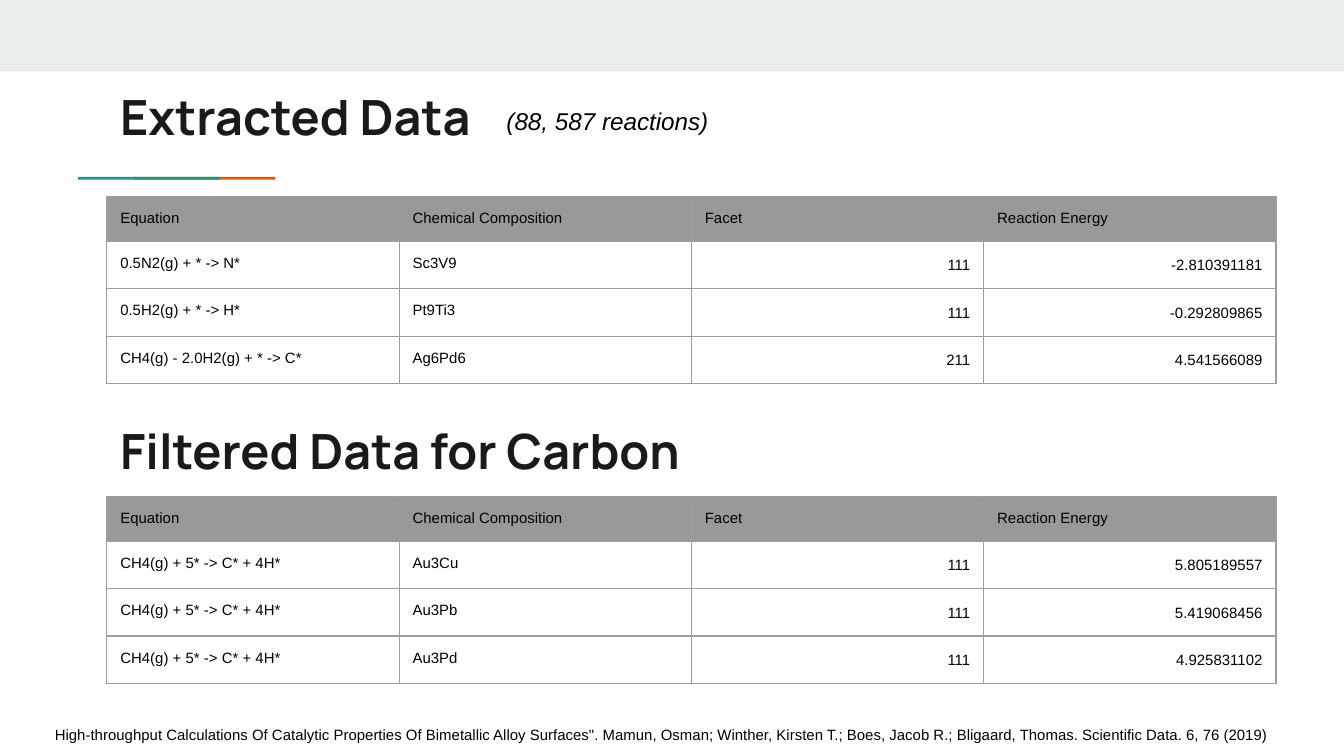
from collections import namedtuple

from lxml.etree import SubElement
from pptx import Presentation
from pptx.dml.color import RGBColor
from pptx.enum.shapes import MSO_SHAPE as Shape
from pptx.enum.text import MSO_ANCHOR as Anchor, PP_ALIGN as Align
from pptx.oxml.ns import qn
from pptx.util import Inches, Pt

WIDTH, HEIGHT = Inches(10), Inches(5.625)
INSET = Inches(0.1)
BLACK = RGBColor(0x00, 0x00, 0x00)
INK = RGBColor(0x1A, 0x1A, 0x1A)
BAND = RGBColor(0xE9, 0xED, 0xEE)
TEAL = RGBColor(0x1A, 0x99, 0x88)
ORANGE = RGBColor(0xEB, 0x56, 0x00)
HEADER = RGBColor(0x99, 0x99, 0x99)
BORDER = RGBColor(0x9E, 0x9E, 0x9E)

Box = namedtuple("Box", "left top width height")

HEADINGS = ("Equation", "Chemical Composition", "Facet", "Reaction Energy")
EXTRACTED = (
    ("0.5N2(g) + * -> N*", "Sc3V9", "111", "-2.810391181"),
    ("0.5H2(g) + * -> H*", "Pt9Ti3", "111", "-0.292809865"),
    ("CH4(g) - 2.0H2(g) + * -> C*", "Ag6Pd6", "211", "4.541566089"),
)
FILTERED = (
    ("CH4(g) + 5* -> C* + 4H*", "Au3Cu", "111", "5.805189557"),
    ("CH4(g) + 5* -> C* + 4H*", "Au3Pb", "111", "5.419068456"),
    ("CH4(g) + 5* -> C* + 4H*", "Au3Pd", "111", "4.925831102"),
)
CITATION = (
    'High-throughput Calculations Of Catalytic Properties Of Bimetallic Alloy Surfaces". '
    "Mamun, Osman; Winther, Kirsten T.; Boes, Jacob R.; Bligaard, Thomas. "
    "Scientific Data. 6, 76 (2019)"
)


def percent_box(left, top, width, height):
    """Return a box from percentages of the slide's width and height."""
    return Box(
        int(WIDTH * left / 100), int(HEIGHT * top / 100),
        int(WIDTH * width / 100), int(HEIGHT * height / 100),
    )


def format_text(paragraph, size, color=BLACK, name="Arial", bold=False, italic=False):
    """Set the font of every run in a paragraph."""
    for run in paragraph.runs:
        font = run.font
        font.name, font.size, font.bold, font.italic = name, Pt(size), bold, italic
        font.color.rgb = color


def add_bar(slide, box, color):
    """Draw a plain filled rectangle."""
    shape = slide.shapes.add_shape(Shape.RECTANGLE, *box)
    shape.shadow.inherit = False
    shape.fill.solid()
    shape.fill.fore_color.rgb = color
    shape.line.fill.background()


def add_accent(slide, box):
    """Draw the two overlapping bars of the accent line."""
    bar = box.width * 72 // 100
    add_bar(slide, box._replace(left=box.left + box.width - bar, width=bar), ORANGE)
    add_bar(slide, box._replace(width=bar), TEAL)


def add_text(slide, box, text, size, spacing=1.0, **style):
    """Add one wrapped paragraph in a text box."""
    frame = slide.shapes.add_textbox(*box).text_frame
    frame.word_wrap = True
    frame.vertical_anchor = Anchor.TOP
    frame.margin_left = frame.margin_right = frame.margin_top = frame.margin_bottom = INSET
    frame.text = text
    paragraph = frame.paragraphs[0]
    paragraph.line_spacing = spacing
    format_text(paragraph, size, **style)


def add_title(slide, box, text):
    """Add a section title."""
    add_text(slide, box, text, 26, color=INK, name="Manrope", bold=True)


def add_borders(cell):
    """Give a cell a thin border on all four sides."""
    properties = cell._tc.get_or_add_tcPr()
    for index, side in enumerate(("a:lnL", "a:lnR", "a:lnT", "a:lnB")):
        line = SubElement(properties, qn(side), w=str(Pt(0.75)))
        fill = SubElement(line, qn("a:solidFill"))
        SubElement(fill, qn("a:srgbClr"), val=str(BORDER))
        properties.insert(index, line)


def fill_cell(cell, text, is_header, is_number):
    """Write and style one table cell."""
    cell.margin_left = cell.margin_right = cell.margin_top = cell.margin_bottom = INSET
    cell.vertical_anchor = Anchor.TOP
    cell.text_frame.text = text
    paragraph = cell.text_frame.paragraphs[0]
    if is_number:
        paragraph.alignment = Align.RIGHT
        paragraph.line_spacing = 1.15
    format_text(paragraph, 8)
    if is_header:
        cell.fill.solid()
        cell.fill.fore_color.rgb = HEADER
    else:
        cell.fill.background()
    add_borders(cell)


def add_reactions(slide, box, records):
    """Add a table of reactions under a header row."""
    rows = (HEADINGS, *records)
    table = slide.shapes.add_table(len(rows), len(HEADINGS), *box).table
    header_height = box.height * 24 // 100
    for column in table.columns:
        column.width = box.width // len(HEADINGS)
    for index, row in enumerate(rows):
        is_header = index == 0
        body_height = (box.height - header_height) // len(records)
        table.rows[index].height = header_height if is_header else body_height
        for position, text in enumerate(row):
            is_number = not is_header and position >= 2
            fill_cell(table.cell(index, position), text, is_header, is_number)


def build_slide(slide):
    """Place every region of the data slide."""
    add_bar(slide, percent_box(0, 0, 100, 9.45), BAND)
    add_accent(slide, percent_box(5.8, 23.4, 14.7, 0.36))
    add_title(slide, percent_box(7.95, 9.78, 84.1, 10.5), "Extracted Data")
    add_text(slide, percent_box(36.7, 11.73, 17.2, 8.9), "(88, 587 reactions)", 13,
             spacing=1.15, italic=True)
    add_reactions(slide, percent_box(7.95, 26, 87, 24.1), EXTRACTED)
    add_title(slide, percent_box(7.95, 53.9, 84.1, 10.5), "Filtered Data for Carbon")
    add_reactions(slide, percent_box(7.95, 65.65, 87, 24.1), FILTERED)
    add_text(slide, percent_box(3.1, 94.8, 93.7, 5.2), CITATION, 8)


def main():
    """Create and save the presentation."""
    presentation = Presentation()
    presentation.slide_width, presentation.slide_height = WIDTH, HEIGHT
    build_slide(presentation.slides.add_slide(presentation.slide_layouts[6]))
    presentation.save("out.pptx")


if __name__ == "__main__":
    main()
